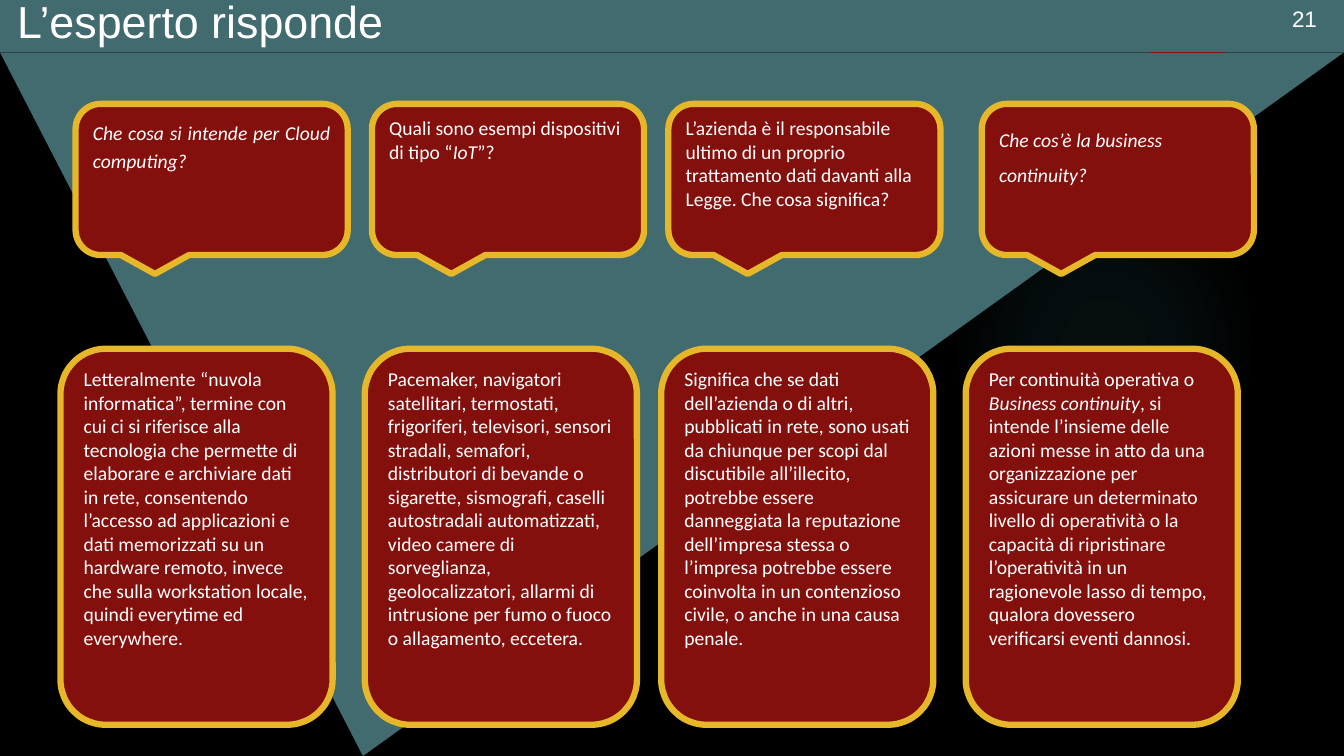
from lxml import etree
from pptx import Presentation
from pptx.dml.color import RGBColor
from pptx.enum.shapes import MSO_CONNECTOR, MSO_SHAPE
from pptx.enum.text import MSO_ANCHOR, MSO_AUTO_SIZE, PP_ALIGN
from pptx.oxml import parse_xml
from pptx.oxml.ns import nsdecls, qn
from pptx.util import Pt

LEFT, JUSTIFY = PP_ALIGN.LEFT, PP_ALIGN.JUSTIFY
TOP, NO_FIT = MSO_ANCHOR.TOP, MSO_AUTO_SIZE.NONE
RECT, TRIANGLE, OVAL = MSO_SHAPE.RECTANGLE, MSO_SHAPE.ISOSCELES_TRIANGLE, MSO_SHAPE.OVAL
CALLOUT, ROUNDED = MSO_SHAPE.ROUNDED_RECTANGULAR_CALLOUT, MSO_SHAPE.ROUNDED_RECTANGLE
STRAIGHT = MSO_CONNECTOR.STRAIGHT

BLACK = RGBColor(0x00, 0x00, 0x00)
WHITE = RGBColor(0xFF, 0xFF, 0xFF)
TEAL = RGBColor(0x42, 0x6B, 0x6F)
SEAM = RGBColor(0x2A, 0x44, 0x46)
RED = RGBColor(0x84, 0x10, 0x0E)
GOLD = RGBColor(0xE6, 0xB7, 0x29)
GLOW = RGBColor(0x50, 0xB9, 0xC1)

TITLE = "L’esperto risponde"
NUMBER = "21"
QUESTIONS = [
    (54, JUSTIFY, 1.2, [("Che cosa si intende per Cloud computing?", True)]),
    (265.7, LEFT, 1.0, [("Quali sono esempi dispositivi di tipo “", False), ("IoT", True), ("”?", False)]),
    (477.4, LEFT, 1.0, [("L’azienda è il responsabile ultimo di un proprio trattamento dati "
                         "davanti alla Legge. Che cosa significa?", False)]),
    (701.3, LEFT, 1.5, [("Che cos’è la business continuity?", True)]),
]
ANSWERS = [
    (43.2, LEFT, 1.0, [("Letteralmente “nuvola informatica”, termine con cui ci si riferisce alla "
                        "tecnologia che permette di elaborare e archiviare dati in rete, consentendo "
                        "l’accesso ad applicazioni e dati memorizzati su un hardware remoto, invece "
                        "che sulla workstation locale, quindi everytime ed everywhere.", False)]),
    (260.6, LEFT, 1.0, [("Pacemaker, navigatori satellitari, termostati, frigoriferi, televisori, "
                         "sensori stradali, semafori, distributori di bevande o sigarette, sismografi, "
                         "caselli autostradali automatizzati, video camere di sorveglianza, "
                         "geolocalizzatori, allarmi di intrusione per fumo o fuoco o allagamento, "
                         "eccetera.", False)]),
    (472.3, LEFT, 1.0, [("Significa che se dati dell’azienda o di altri, pubblicati in rete, sono usati "
                         "da chiunque per scopi dal discutibile all’illecito, potrebbe essere "
                         "danneggiata la reputazione dell’impresa stessa o l’impresa potrebbe essere "
                         "coinvolta in un contenzioso civile, o anche in una causa penale.", False)]),
    (689.8, LEFT, 1.0, [("Per continuità operativa o ", False), ("Business continuity", True),
                        (", si intende l’insieme delle azioni messe in atto da una organizzazione per "
                         "assicurare un determinato livello di operatività o la capacità di "
                         "ripristinare l’operatività in un ragionevole lasso di tempo, qualora "
                         "dovessero verificarsi eventi dannosi.", False)]),
]
ROWS = [(CALLOUT, 74.2, 108, QUESTIONS), (ROUNDED, 249.1, 268.6, ANSWERS)]
CARD_W = 194.4
SLIDE_W, SLIDE_H, BAND_H = 960, 540, 37.4
GLOW_STOPS = [(0, 7), (36, 6), (69, 0)]

prs = Presentation()
prs.slide_width, prs.slide_height = Pt(SLIDE_W), Pt(SLIDE_H)
slide = prs.slides.add_slide(prs.slide_layouts[5])
slide.background.fill.solid()
slide.background.fill.fore_color.rgb = BLACK


def add_box(kind, x, y, w, h, color, border=None):
    sp = slide.shapes.add_shape(kind, Pt(x), Pt(y), Pt(w), Pt(h))
    sp.shadow.inherit = False
    sp.fill.solid()
    sp.fill.fore_color.rgb = color
    if border is None:
        sp.line.fill.background()
    else:
        sp.line.color.rgb = border
        sp.line.width = Pt(4.5)
    return sp


def write(sp, runs, size, font, align=LEFT, spacing=1.0):
    tf = sp.text_frame
    tf.word_wrap = True
    tf.auto_size = NO_FIT
    tf.vertical_anchor = TOP
    p = tf.paragraphs[0]
    p.alignment = align
    p.line_spacing = spacing
    for text, italic in runs:
        r = p.add_run()
        r.text = text
        r.font.name = font
        r.font.size = Pt(size)
        r.font.italic = italic
        r.font.color.rgb = WHITE


def add_seam(x1, x2, color):
    line = slide.shapes.add_connector(STRAIGHT, Pt(x1), Pt(BAND_H), Pt(x2), Pt(BAND_H))
    line.line.color.rgb = color
    line.line.width = Pt(0.75)
    etree.SubElement(line._element.spPr, qn("a:effectLst"))


glow = add_box(OVAL, 677.5, 131.8, 221.8, 221.8, GLOW)
stops = "".join(
    f'<a:gs pos="{pos * 1000}"><a:srgbClr val="{GLOW}"><a:alpha val="{alpha * 1000}"/></a:srgbClr></a:gs>'
    for pos, alpha in GLOW_STOPS)
gradient = parse_xml(
    f'<a:gradFill {nsdecls("a")}><a:gsLst>{stops}</a:gsLst><a:path path="circle">'
    '<a:fillToRect l="50000" t="50000" r="50000" b="50000"/></a:path></a:gradFill>')
solid = glow._element.spPr.find(qn("a:solidFill"))
glow._element.spPr.replace(solid, gradient)

wedge = add_box(TRIANGLE, 0, BAND_H, SLIDE_W, SLIDE_H - BAND_H, TEAL)
wedge.rotation = 180
wedge.adjustments[0] = 0.73
band = add_box(RECT, 0, 0, SLIDE_W, BAND_H, TEAL)
add_seam(0, SLIDE_W, SEAM)
add_seam(821.5, 875.5, RED)

number = slide.shapes.add_textbox(Pt(915.8), Pt(0), Pt(39.6), Pt(26.6))
write(number, [(NUMBER, False)], 16, "Arial")

title = slide.shapes.title
title.left, title.top, title.width, title.height = Pt(5), Pt(-12.2), Pt(905), Pt(26.6)
write(title, [(TITLE, False)], 32, "Arial")
title.text_frame.margin_top = Pt(8)
band._element.addnext(title._element)

for kind, top, height, cards in ROWS:
    for left, align, spacing, runs in cards:
        card = add_box(kind, left, top, CARD_W, height, RED, GOLD)
        write(card, runs, 14, "Calibri", align, spacing)

prs.save("out.pptx")
